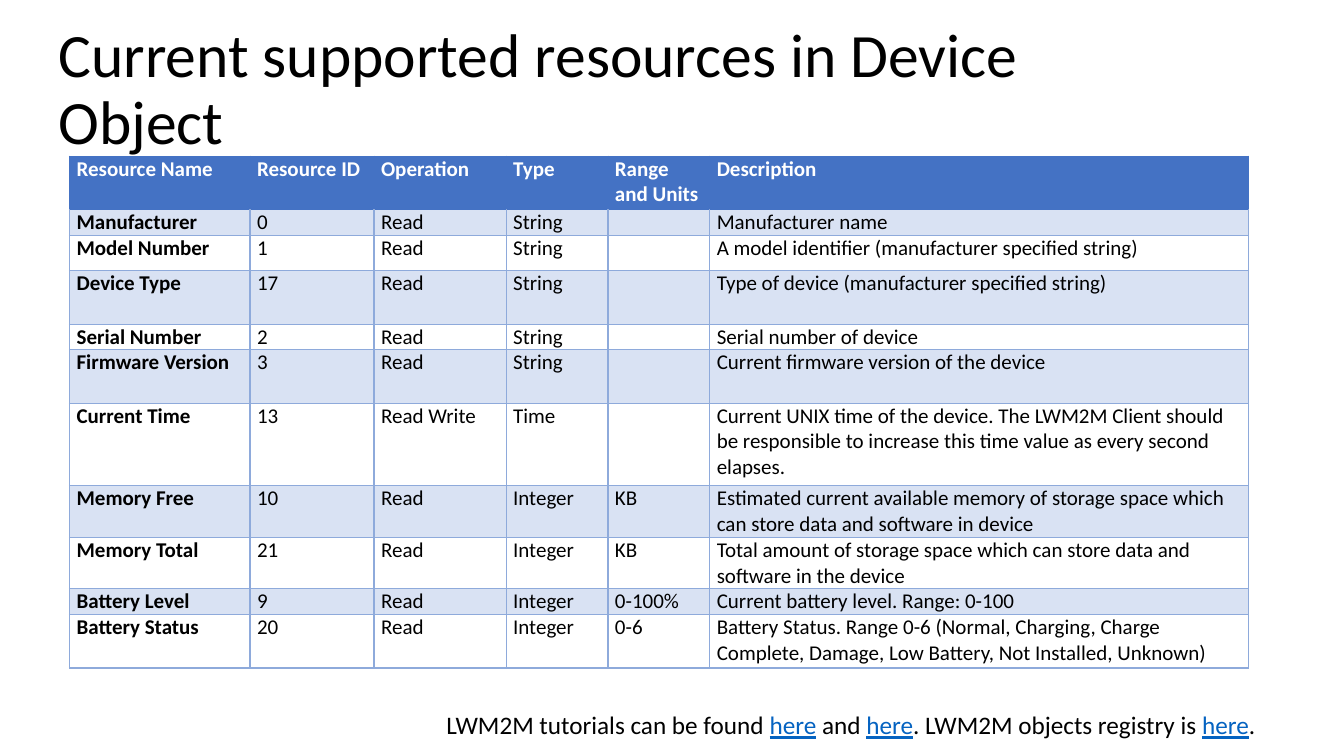
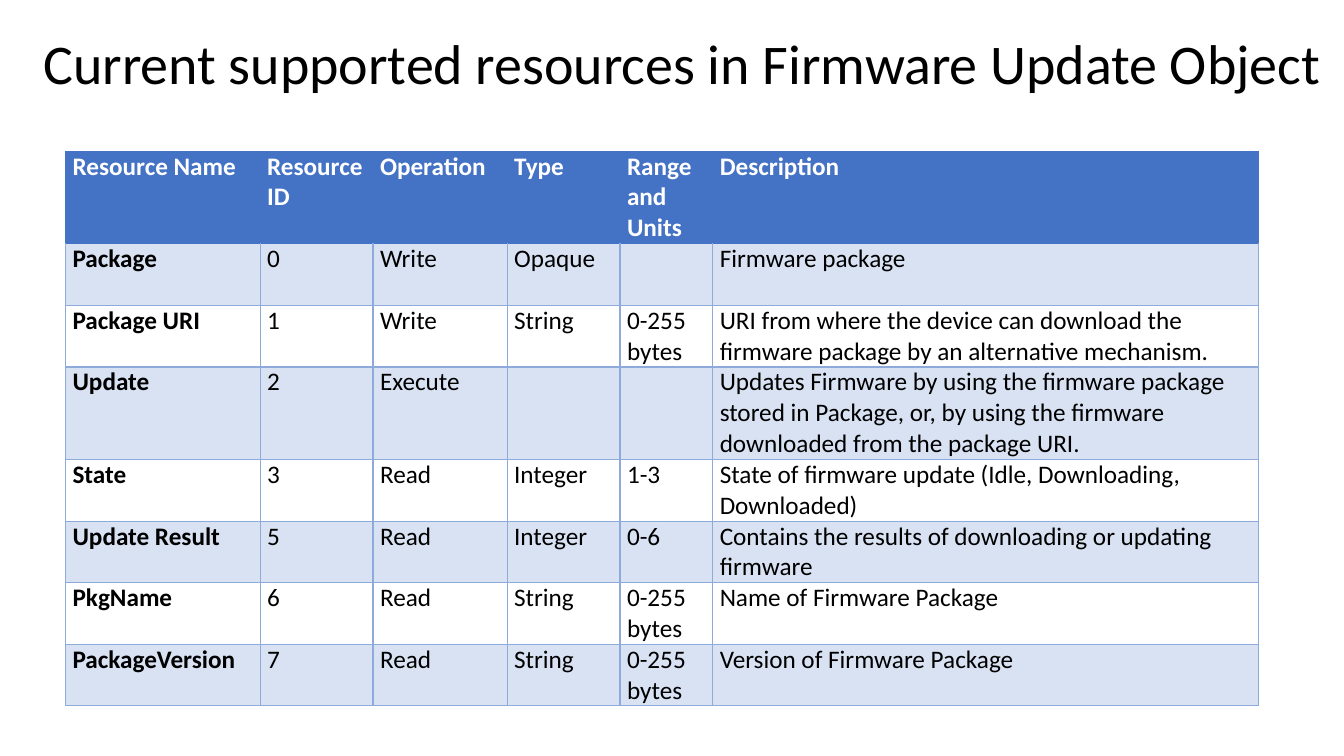
from dataclasses import dataclass

from lxml import etree
from pptx import Presentation
from pptx import util as u
from pptx.dml.color import RGBColor
from pptx.enum import text
from pptx.oxml.ns import qn

FONT = "Calibri"
BLACK, WHITE, LINK = "000000", "FFFFFF", "0563C1"
HEADER_BLUE, BAND_BLUE, GRID_BLUE = "4472C4", "D9E2F3", "8EAADB"
HEADINGS = ("Resource Name", "Resource ID", "Operation", "Type",
            "Range and Units", "Description")


@dataclass(frozen=True)
class Box:
    left: float
    top: float
    width: float
    height: float

    def lengths(self) -> tuple:
        return tuple(u.Inches(v) for v in
                     (self.left, self.top, self.width, self.height))


@dataclass(frozen=True)
class Resource:
    height: float
    name: str
    id: str
    operation: str
    type: str
    units: str
    description: str

    def cells(self) -> tuple:
        return (self.name, self.id, self.operation, self.type,
                self.units, self.description)


@dataclass(frozen=True)
class ResourceSlide:
    title: str
    title_size: int
    title_box: Box
    left: float
    top: float
    columns: tuple
    text_size: int
    header_height: float
    resources: tuple


DEVICE = ResourceSlide(
    "Current supported resources in Device Object", 44,
    Box(0.48, 0.18, 11.5, 1.45), 0.69, 1.55,
    (1.79, 1.23, 1.31, 1.01, 1.01, 5.34), 15, 0.53,
    (
        Resource(0.25, "Manufacturer", "0", "Read", "String", "",
                 "Manufacturer name"),
        Resource(0.35, "Model Number", "1", "Read", "String", "",
                 "A model identifier (manufacturer specified string)"),
        Resource(0.53, "Device Type", "17", "Read", "String", "",
                 "Type of device (manufacturer specified string)"),
        Resource(0.25, "Serial Number", "2", "Read", "String", "",
                 "Serial number of device"),
        Resource(0.53, "Firmware Version", "3", "Read", "String", "",
                 "Current firmware version of the device"),
        Resource(0.82, "Current Time", "13", "Read Write", "Time", "",
                 "Current UNIX time of the device. The LWM2M Client should be "
                 "responsible to increase this time value as every second elapses."),
        Resource(0.5, "Memory Free", "10", "Read", "Integer", "KB",
                 "Estimated current available memory of storage space which "
                 "can store data and software in device"),
        Resource(0.5, "Memory Total", "21", "Read", "Integer", "KB",
                 "Total amount of storage space which can store data and "
                 "software in the device"),
        Resource(0.25, "Battery Level", "9", "Read", "Integer", "0-100%",
                 "Current battery level. Range: 0-100"),
        Resource(0.53, "Battery Status", "20", "Read", "Integer", "0-6",
                 "Battery Status. Range 0-6 (Normal, Charging, Charge Complete, "
                 "Damage, Low Battery, Not Installed, Unknown)"),
    ))

FIRMWARE = ResourceSlide(
    "Current supported resources in Firmware Update Object", 40,
    Box(0.33, -0.07, 13.33, 1.45), 0.65, 1.5,
    (1.93, 1.12, 1.33, 1.12, 0.92, 5.41), 18, 0.92,
    (
        Resource(0.61, "Package", "0", "Write", "Opaque", "", "Firmware package"),
        Resource(0.61, "Package URI", "1", "Write", "String", "0-255 bytes",
                 "URI from where the device can download the firmware package "
                 "by an alternative mechanism."),
        Resource(0.92, "Update", "2", "Execute", "", "",
                 "Updates Firmware by using the firmware package stored in "
                 "Package, or, by using the firmware downloaded from the package URI."),
        Resource(0.61, "State", "3", "Read", "Integer", "1-3",
                 "State of firmware update (Idle, Downloading, Downloaded)"),
        Resource(0.61, "Update Result", "5", "Read", "Integer", "0-6",
                 "Contains the results of downloading or updating firmware"),
        Resource(0.61, "PkgName", "6", "Read", "String", "0-255 bytes",
                 "Name of Firmware Package"),
        Resource(0.61, "PackageVersion", "7", "Read", "String", "0-255 bytes",
                 "Version of Firmware Package"),
    ))

TUTORIAL_RUNS = (
    ("LWM2M tutorials can be found ", False), ("here", True), (" and ", False),
    ("here", True), (". LWM2M objects registry is ", False), ("here", True),
    (".", False))


def rgb(color: str) -> RGBColor:
    return RGBColor.from_string(color)


def add_run(p, words: str, size: int, color: str = BLACK,
            bold: bool = False, underline: bool = False) -> None:
    r = p.add_run()
    r.text = words
    r.font.name, r.font.size = FONT, u.Pt(size)
    r.font.bold, r.font.underline = bold, underline
    r.font.color.rgb = rgb(color)


def set_title(s, spec: ResourceSlide) -> None:
    sp = s.shapes.title
    sp.left, sp.top, sp.width, sp.height = spec.title_box.lengths()
    tf = sp.text_frame
    tf.word_wrap, tf.auto_size = True, text.MSO_AUTO_SIZE.NONE
    tf.vertical_anchor = text.MSO_ANCHOR.MIDDLE
    p = tf.paragraphs[0]
    p.alignment, p.line_spacing = text.PP_ALIGN.LEFT, 0.9
    add_run(p, spec.title, spec.title_size)


def set_borders(cell, color: str, top_color: str) -> None:
    """Draw 1 pt cell borders; call before setting the fill."""
    tc_pr = cell._tc.get_or_add_tcPr()
    for side in ("L", "R", "T", "B"):
        ln = etree.SubElement(tc_pr, qn(f"a:ln{side}"), w=str(u.Pt(1)))
        fill = etree.SubElement(ln, qn("a:solidFill"))
        etree.SubElement(fill, qn("a:srgbClr"),
                         val=top_color if side == "T" else color)


def fill_cell(cell, words: str, size: int, row: int, bold: bool) -> None:
    header = row == 0
    set_borders(cell, HEADER_BLUE if header else GRID_BLUE,
                HEADER_BLUE if row < 2 else GRID_BLUE)
    cell.fill.solid()
    cell.fill.fore_color.rgb = rgb(
        HEADER_BLUE if header else BAND_BLUE if row % 2 else WHITE)
    cell.margin_left = cell.margin_right = u.Inches(0.07)
    cell.margin_top = cell.margin_bottom = u.Inches(0)
    p = cell.text_frame.paragraphs[0]
    if words:
        add_run(p, words, size, WHITE if header else BLACK, bold)
    else:
        # An empty cell still takes its row height from this size.
        etree.SubElement(p._p, qn("a:endParaRPr"), sz=str(size * 100))


def add_resource_table(s, spec: ResourceSlide) -> None:
    rows = (HEADINGS, *(res.cells() for res in spec.resources))
    heights = (spec.header_height, *(res.height for res in spec.resources))
    box = Box(spec.left, spec.top, sum(spec.columns), sum(heights))
    table = s.shapes.add_table(len(rows), len(HEADINGS), *box.lengths()).table
    table.first_row = table.horz_banding = False
    for column, width in zip(table.columns, spec.columns):
        column.width = u.Inches(width)
    for i, (words, height) in enumerate(zip(rows, heights)):
        table.rows[i].height = u.Inches(height)
        for j, value in enumerate(words):
            fill_cell(table.cell(i, j), value, spec.text_size, i,
                      bold=i == 0 or j == 0)


def add_tutorial_note(s) -> None:
    sp = s.shapes.add_textbox(*Box(4.33, 6.99, 9.8, 0.4).lengths())
    tf = sp.text_frame
    tf.word_wrap, tf.auto_size = True, text.MSO_AUTO_SIZE.SHAPE_TO_FIT_TEXT
    for words, is_link in TUTORIAL_RUNS:
        add_run(tf.paragraphs[0], words, 18, LINK if is_link else BLACK,
                underline=is_link)


def add_resource_slide(prs, spec: ResourceSlide):
    s = prs.slides.add_slide(prs.slide_layouts.get_by_name("Title Only"))
    set_title(s, spec)
    add_resource_table(s, spec)
    return s


def main() -> None:
    prs = Presentation()
    prs.slide_width, prs.slide_height = u.Inches(13.33), u.Inches(7.5)
    add_tutorial_note(add_resource_slide(prs, DEVICE))
    add_resource_slide(prs, FIRMWARE)
    prs.save("out.pptx")


if __name__ == "__main__":
    main()
